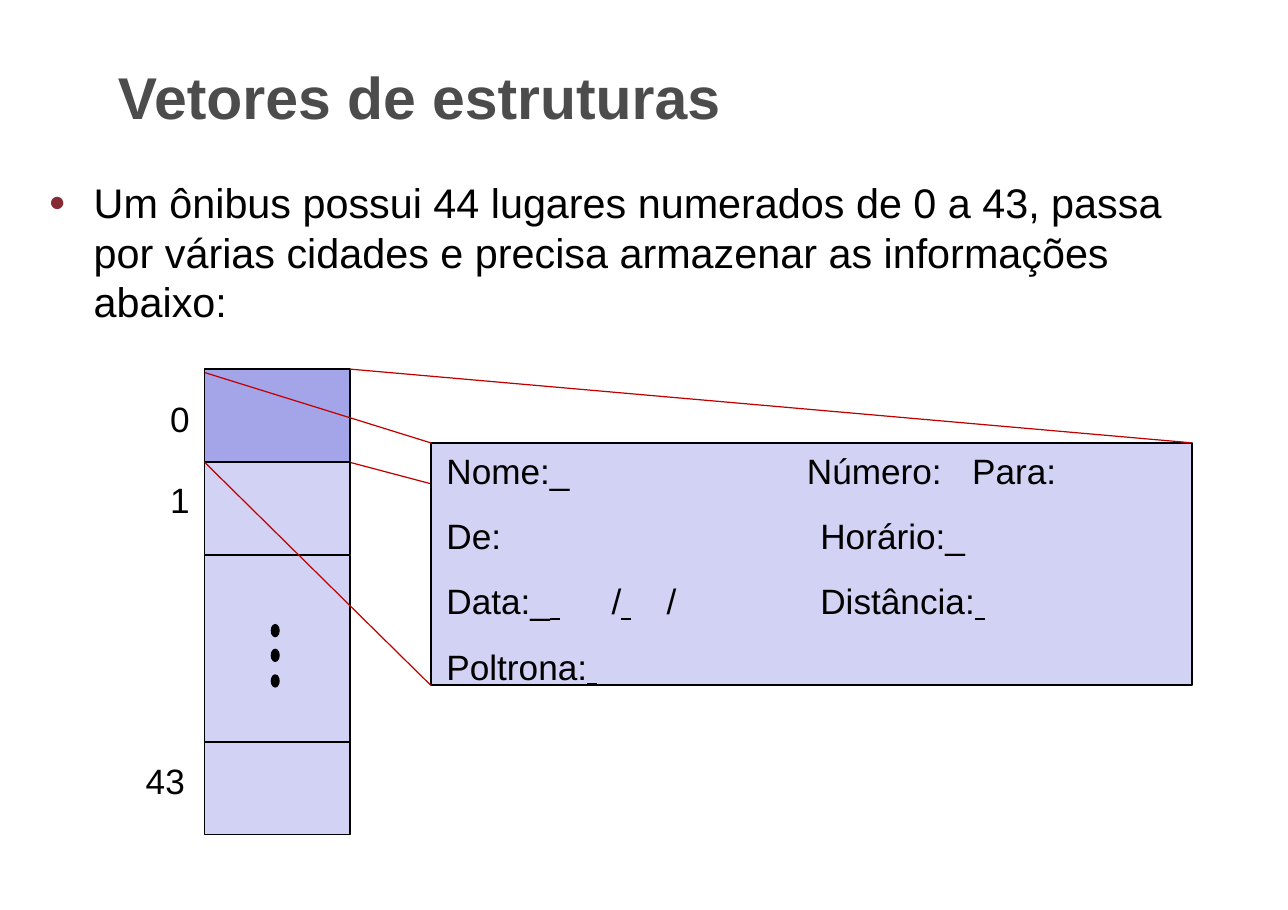
from dataclasses import dataclass

from lxml import etree
from pptx import Presentation
from pptx import util as u
from pptx.dml.color import RGBColor
from pptx.enum import shapes, text
from pptx.oxml.ns import qn

HEADING = ["Vetores ", "de estruturas"]
STATEMENT = [
    "Um ônibus possui 44 lugares numerados de 0 a 43, ",
    "passa por várias cidades e precisa armazenar as informações abaixo:",
]
SEATS = [
    {"rows": 1, "color": "first"},
    {"rows": 1, "color": "seat"},
    {"rows": 2, "color": "seat"},
    {"rows": 1, "color": "seat"},
]
INDEXES = [("0", 3.92, 9.17), ("1", 3.92, 11.02), ("43", 3.36, 17.5)]
LEFT_FIELDS = [
    [("Nome:_", False)],
    [("De:", False)],
    [("Data:_", False), (" ", True), ("\t/", False), (" ", True), ("\t/", False)],
    [("Poltrona:", False), (" ", True)],
]
RIGHT_FIELDS = [
    [("Número:\tPara:", False)],
    [("Horário:_", False)],
    [("Distância:", False), (" ", True)],
]


@dataclass(frozen=True)
class Theme:
    font: str = "Arial"
    heading: str = "4C4C4C"
    ink: str = "000000"
    bullet: str = "852B34"
    first: str = "A4A4E9"
    seat: str = "D2D2F4"
    zoom: str = "C00000"
    heading_size: float = 38.5
    body_size: float = 27
    label_size: float = 23
    leading: float = 1.2
    form_leading: float = 1.85
    thin: float = 0.8
    thick: float = 1.6


THEME = Theme()
SEAT_X, SEAT_Y, SEAT_W, PITCH, SEAM = 4.72, 8.51, 3.35, 2.15, 0.02
CARD_X, CARD_Y, CARD_W, CARD_H = 9.93, 10.21, 17.55, 5.59
DOT_W, DOT_H, DOT_TOPS = 0.18, 0.28, (14.4, 14.97, 15.56)


def rgb(value):
    return RGBColor.from_string(value)


def place(shape, x, y, w, h):
    shape.left, shape.top, shape.width, shape.height = map(u.Cm, (x, y, w, h))


def prepare(frame):
    frame.margin_left = frame.margin_right = frame.margin_top = frame.margin_bottom = 0
    frame.word_wrap = True
    frame.auto_size = text.MSO_AUTO_SIZE.NONE
    frame.vertical_anchor = text.MSO_ANCHOR.TOP
    return frame


def write(paragraph, runs, size, color, leading=THEME.leading, bold=False):
    paragraph.alignment = text.PP_ALIGN.LEFT
    paragraph.line_spacing = u.Pt(round(size * leading, 1))
    paragraph.space_before = u.Pt(0)
    for words, underlined in runs:
        run = paragraph.add_run()
        run.text = words
        run.font.name = THEME.font
        run.font.size = u.Pt(size)
        run.font.bold = bold
        run.font.underline = underlined
        run.font.color.rgb = rgb(color)


def indent(paragraph, margin, first=0):
    properties = paragraph._p.get_or_add_pPr()
    properties.set("marL", str(u.Cm(margin)))
    properties.set("indent", str(u.Cm(first)))
    return properties


def add_bullet(paragraph):
    properties = indent(paragraph, 1.09, -1.04)
    color = etree.SubElement(properties, qn("a:buClr"))
    etree.SubElement(color, qn("a:srgbClr"), val=THEME.bullet)
    etree.SubElement(properties, qn("a:buSzPct"), val="69000")
    etree.SubElement(properties, qn("a:buFont"), typeface=THEME.font)
    etree.SubElement(properties, qn("a:buChar"), char="●")


def add_tabs(paragraph, stops):
    tabs = etree.SubElement(paragraph._p.get_or_add_pPr(), qn("a:tabLst"))
    for stop in stops:
        etree.SubElement(tabs, qn("a:tab"), pos=str(u.Cm(stop)), algn="l")


def add_block(slide, kind, x, y, w, h, fill, width=THEME.thin):
    block = slide.shapes.add_shape(kind, *map(u.Cm, (x, y, w, h)))
    block.shadow.inherit = False
    block.fill.solid()
    block.fill.fore_color.rgb = rgb(fill)
    block.line.color.rgb = rgb(THEME.ink)
    block.line.width = u.Pt(width)


def add_zoom_line(slide, start, end):
    zoom = slide.shapes.add_connector(
        shapes.MSO_CONNECTOR.STRAIGHT, *map(u.Cm, (*start, *end)))
    zoom.line.color.rgb = rgb(THEME.zoom)
    zoom.line.width = u.Pt(THEME.thin)
    etree.SubElement(zoom._element.spPr, qn("a:effectLst"))


def add_fields(slide, x, w, lines, stops, margins):
    fields = slide.shapes.add_textbox(*map(u.Cm, (x, 9.83, w, 6.04)))
    frame = prepare(fields.text_frame)
    for number, (runs, margin) in enumerate(zip(lines, margins)):
        paragraph = frame.add_paragraph() if number else frame.paragraphs[0]
        indent(paragraph, margin)
        add_tabs(paragraph, stops)
        write(paragraph, runs, THEME.label_size, THEME.ink, THEME.form_leading)


def main():
    deck = Presentation()
    deck.slide_width, deck.slide_height = u.Cm(29.69), u.Cm(20.98)
    slide = deck.slides.add_slide(deck.slide_layouts[1])

    heading = slide.shapes.title
    place(heading, 2.03, 1.4, 25.63, 1.65)
    paragraph = prepare(heading.text_frame).paragraphs[0]
    indent(paragraph, 0.69)
    write(paragraph, [(words, False) for words in HEADING],
          THEME.heading_size, THEME.heading, bold=True)

    statement = slide.placeholders[1]
    place(statement, 1.07, 4.09, 26.77, 3.45)
    paragraph = prepare(statement.text_frame).paragraphs[0]
    add_bullet(paragraph)
    write(paragraph, [(words, False) for words in STATEMENT], THEME.body_size, THEME.ink)

    seat_right, seat_bottom = SEAT_X + SEAT_W, SEAT_Y + PITCH
    card_right, card_bottom = CARD_X + CARD_W, CARD_Y + CARD_H
    add_zoom_line(slide, (seat_right, seat_bottom), (card_right, card_bottom))
    rectangle = shapes.MSO_SHAPE.RECTANGLE
    add_block(slide, rectangle, CARD_X, CARD_Y, CARD_W, CARD_H, THEME.seat, THEME.thick)
    add_fields(slide, 10.26, 8.26, LEFT_FIELDS, (3.76, 5.77), (0.03,) * 4)
    add_fields(slide, 18.57, 8.86, RIGHT_FIELDS, (5.64,), (0.03, 0.34, 0.34))

    y = SEAT_Y
    for seat in SEATS:
        h = seat["rows"] * PITCH
        add_block(slide, rectangle, SEAT_X, y, SEAT_W, h - SEAM,
                  getattr(THEME, seat["color"]))
        y += h

    for index, x, top in INDEXES:
        label = slide.shapes.add_textbox(*map(u.Cm, (x, top, 1.05, 0.99)))
        write(prepare(label.text_frame).paragraphs[0], [(index, False)],
              THEME.label_size, THEME.ink)

    dot_x = SEAT_X + (SEAT_W - DOT_W) / 2 - 0.05
    for top in DOT_TOPS:
        add_block(slide, shapes.MSO_SHAPE.OVAL, dot_x, top, DOT_W, DOT_H, THEME.ink)

    for start, end in [
        ((SEAT_X, SEAT_Y + 0.08), (CARD_X, CARD_Y)),
        ((seat_right, SEAT_Y), (card_right, CARD_Y)),
        ((SEAT_X, seat_bottom), (CARD_X, card_bottom)),
    ]:
        add_zoom_line(slide, start, end)

    deck.save("out.pptx")


if __name__ == "__main__":
    main()
